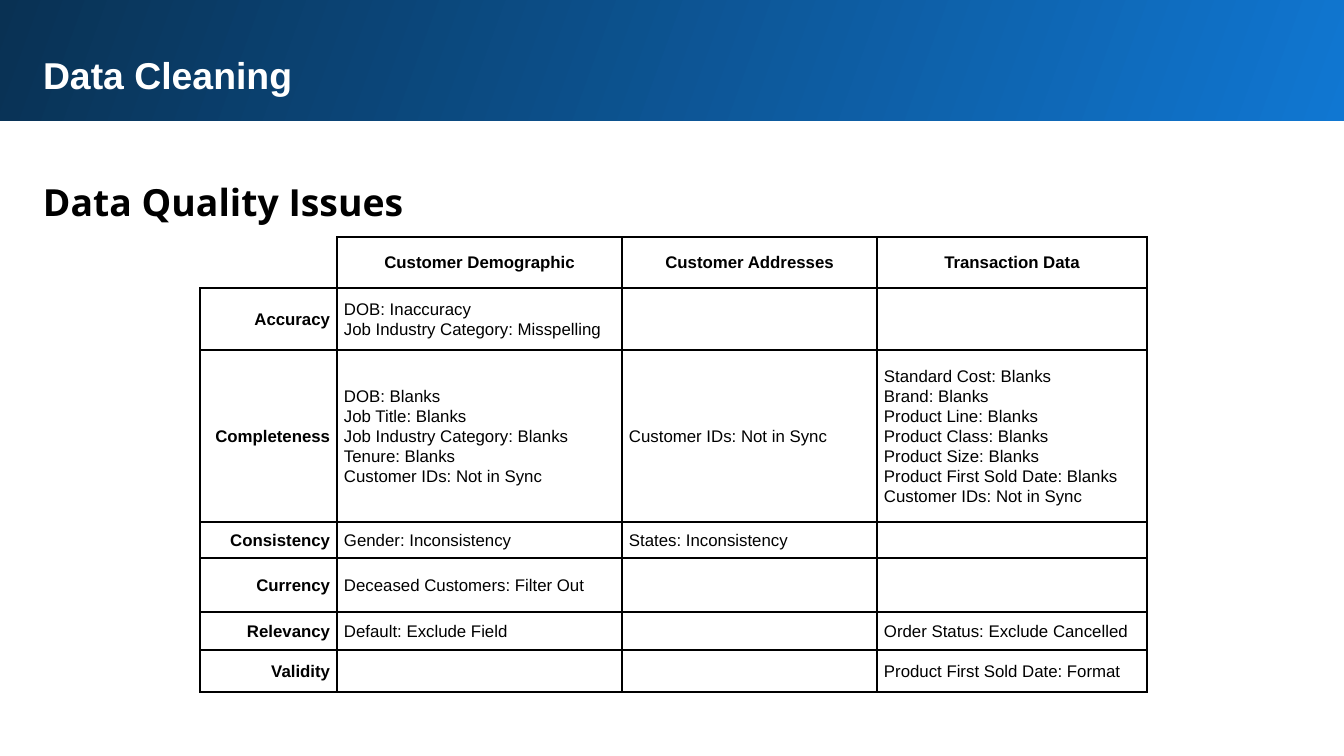
from dataclasses import dataclass

from lxml.etree import SubElement
from pptx import Presentation
from pptx.dml.color import RGBColor
from pptx.enum.shapes import MSO_SHAPE
from pptx.enum.text import MSO_ANCHOR as Anchor, PP_ALIGN as Align
from pptx.oxml import parse_xml
from pptx.oxml.ns import nsdecls, qn
from pptx.util import Pt

PX = 914400 / 134.4


@dataclass(frozen=True)
class Theme:
    ink: str = "000000"
    white: str = "FFFFFF"
    band_start: str = "1077D2"
    band_end: str = "093153"
    body_font: str = "Arial"
    heading_font: str = "Open Sans"
    heading_size: int = 20
    cell_size: int = 9
    border_width: int = 1


THEME = Theme()

HEADERS = ["Customer Demographic", "Customer Addresses", "Transaction Data"]
ISSUES = {
    "Accuracy": ["DOB: Inaccuracy\nJob Industry Category: Misspelling", "", ""],
    "Completeness": [
        "DOB: Blanks\nJob Title: Blanks\nJob Industry Category: Blanks\n"
        "Tenure: Blanks\nCustomer IDs: Not in Sync",
        "Customer IDs: Not in Sync",
        "Standard Cost: Blanks\nBrand: Blanks\nProduct Line: Blanks\n"
        "Product Class: Blanks\nProduct Size: Blanks\n"
        "Product First Sold Date: Blanks\nCustomer IDs: Not in Sync",
    ],
    "Consistency": ["Gender: Inconsistency", "States: Inconsistency", ""],
    "Currency": ["Deceased Customers: Filter Out", "", ""],
    "Relevancy": ["Default: Exclude Field", "", "Order Status: Exclude Cancelled"],
    "Validity": ["", "", "Product First Sold Date: Format"],
}
COLUMN_WIDTHS = [137, 285, 255, 270]
ROW_HEIGHTS = [51, 62, 172, 36, 54, 38, 42]


def px(length):
    return round(length * PX)


def box_of(*lengths):
    return [px(length) for length in lengths]


def style_font(font, name, size, color, bold):
    font.name = name
    font.size = Pt(size)
    font.bold = bold
    font.color.rgb = RGBColor.from_string(color)


def add_band(page):
    """Draw the gradient header behind the title."""
    band = page.shapes.add_shape(MSO_SHAPE.RECTANGLE, *box_of(-3, -3, 1350, 124))
    band.shadow.inherit = False
    band.line.fill.background()
    band.fill.gradient()
    band.fill.gradient_angle = 160
    for stop, color in zip(band.fill.gradient_stops, (THEME.band_start, THEME.band_end)):
        stop.color.rgb = RGBColor.from_string(color)
    page.shapes.title._element.addprevious(band._element)


def write_heading(shape, text, font_name, color, spacing):
    frame = shape.text_frame
    frame.word_wrap = True
    frame.vertical_anchor = Anchor.TOP
    frame.margin_left = frame.margin_right = px(13)
    frame.margin_top = frame.margin_bottom = px(13)
    frame.text = text
    para = frame.paragraphs[0]
    para.alignment = Align.LEFT
    para.line_spacing = spacing
    style_font(para.runs[0].font, font_name, THEME.heading_size, color, True)


def add_title(page, text):
    title = page.shapes.title
    title.left, title.top, title.width, title.height = box_of(30, 39, 1259, 73)
    write_heading(title, text, THEME.body_font, THEME.white, 1.0)


def add_subtitle(page, text):
    box = page.shapes.add_textbox(*box_of(30, 159, 1259, 75))
    write_heading(box, text, THEME.heading_font, THEME.ink, 1.15)


def set_borders(cell, sides):
    properties = cell._tc.get_or_add_tcPr()
    for position, side in enumerate(sides):
        properties.insert(position, parse_xml(
            f'<a:ln{side} {nsdecls("a")} w="{Pt(THEME.border_width)}">'
            f'<a:solidFill><a:srgbClr val="{THEME.ink}"/></a:solidFill></a:ln{side}>'))


def write_cell(cell, text, align, bold):
    cell.fill.background()
    cell.vertical_anchor = Anchor.MIDDLE
    cell.margin_left = cell.margin_right = px(7)
    cell.margin_top = cell.margin_bottom = 0
    frame = cell.text_frame
    frame.text = text
    for para in frame.paragraphs:
        para.alignment = align
        para.line_spacing = 1.07
        for span in para.runs:
            style_font(span.font, THEME.body_font, THEME.cell_size, THEME.ink, bold)
    if text:
        frame.paragraphs[-1].space_after = Pt(8)
    else:
        # keeps an empty cell from stretching its row
        SubElement(frame.paragraphs[0]._p, qn("a:endParaRPr"), sz=str(THEME.cell_size * 100))


def add_issue_table(page):
    rows = [["", *HEADERS]] + [[label, *cells] for label, cells in ISSUES.items()]
    frame = page.shapes.add_table(
        len(rows), len(COLUMN_WIDTHS),
        *box_of(200, 237, sum(COLUMN_WIDTHS), sum(ROW_HEIGHTS)))
    table = frame.table
    table.first_row = table.horz_banding = False
    for column, width in zip(table.columns, COLUMN_WIDTHS):
        column.width = px(width)
    for row, height in zip(table.rows, ROW_HEIGHTS):
        row.height = px(height)
    for r, texts in enumerate(rows):
        for c, text in enumerate(texts):
            align = Align.CENTER if r == 0 else Align.RIGHT if c == 0 else Align.LEFT
            cell = table.cell(r, c)
            write_cell(cell, text, align, bold=r == 0 or c == 0)
            set_borders(cell, "RB" if r == c == 0 else "LRTB")


def main():
    deck = Presentation()
    deck.slide_width, deck.slide_height = px(1344), px(756)
    page = deck.slides.add_slide(deck.slide_layouts[5])
    add_band(page)
    add_title(page, "Data Cleaning")
    add_subtitle(page, "Data Quality Issues")
    add_issue_table(page)
    deck.save("out.pptx")


if __name__ == "__main__":
    main()
